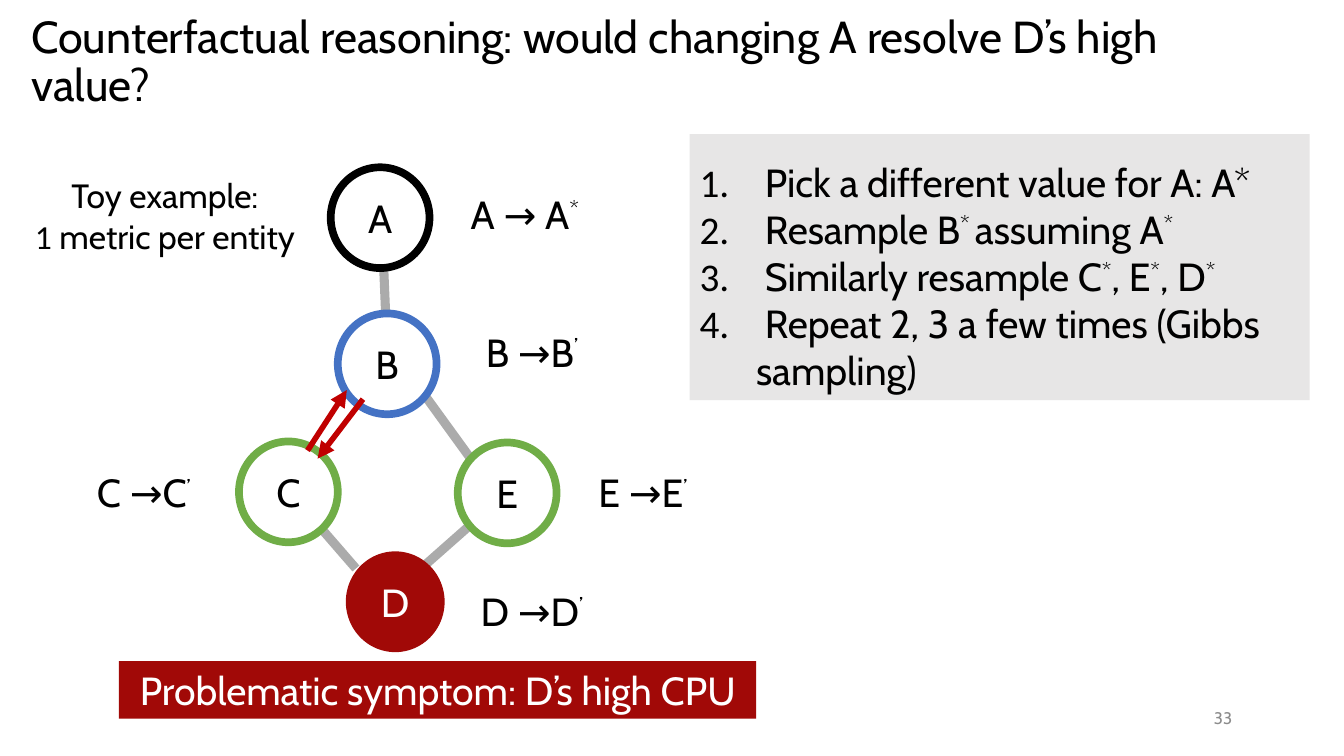
from dataclasses import dataclass

from lxml.etree import SubElement
from pptx import Presentation
from pptx.dml.color import RGBColor
from pptx.enum.shapes import MSO_CONNECTOR, MSO_SHAPE
from pptx.enum.text import MSO_ANCHOR, MSO_AUTO_SIZE, PP_ALIGN
from pptx.oxml.ns import qn
from pptx.util import Inches, Pt

BLACK = RGBColor(0x00, 0x00, 0x00)
WHITE = RGBColor(0xFF, 0xFF, 0xFF)
DARK_RED = RGBColor(0xA1, 0x09, 0x07)
ARROW_RED = RGBColor(0xC0, 0x00, 0x00)
GREEN = RGBColor(0x70, 0xAD, 0x47)
BLUE = RGBColor(0x44, 0x72, 0xC4)
EDGE_GRAY = RGBColor(0x80, 0x80, 0x80)
PANEL_GRAY = RGBColor(0xE7, 0xE6, 0xE6)
NUMBER_GRAY = RGBColor(0x8C, 0x8C, 0x8C)

MAIN_FONT = "Cabin"
LEAD_FONT = "Calibri"


@dataclass(frozen=True)
class Box:
    left: float
    top: float
    width: float
    height: float

    def lengths(self):
        return [Inches(v) for v in (self.left, self.top, self.width, self.height)]


@dataclass(frozen=True)
class Line:
    """Text with ^superscript^ marks, after a lead set in the lead font."""
    text: str
    lead: str = ""


@dataclass(frozen=True)
class Style:
    size: float = 28
    color: RGBColor = BLACK
    align: PP_ALIGN = PP_ALIGN.CENTER
    anchor: MSO_ANCHOR = MSO_ANCHOR.TOP


@dataclass(frozen=True)
class Entity:
    name: str
    left: float
    top: float
    outline: RGBColor | None
    fill: RGBColor = WHITE
    text: RGBColor = BLACK


@dataclass(frozen=True)
class Link:
    start: tuple[float, float]
    end: tuple[float, float]


NODE_WIDTH, NODE_HEIGHT = 0.98, 1.0
ENTITIES = [
    Entity("A", 3.28, 1.66, BLACK),
    Entity("D", 3.43, 5.47, None, DARK_RED, WHITE),
    Entity("E", 4.54, 4.39, GREEN),
    Entity("C", 2.37, 4.38, GREEN),
    Entity("B", 3.35, 3.11, BLUE),
]
EDGES = [
    Link((4.19, 3.89), (4.77, 4.69)),
    Link((4.12, 5.69), (4.72, 5.16)),
    Link((3.83, 3.24), (3.8, 2.52)),
    Link((3.53, 5.64), (3.14, 5.19)),
]
ARROWS = [
    Link((3.05, 4.47), (3.44, 3.87)),
    Link((3.6, 3.96), (3.15, 4.55)),
]
RESAMPLINGS = {
    "A → A^*^": (4.48, 1.84),
    "B →B^’^": (4.55, 3.21),
    "E →E^’^": (5.65, 4.6),
    "C →C^’^": (0.7, 4.6),
    "D →D^’^": (4.55, 5.78),
}
STEPS = [
    "Pick a different value for A: A*",
    "Resample B^* ^assuming A^*^",
    "Similarly resample C^*^, E^*^, D^*^",
    "Repeat 2, 3 a few times (Gibbs sampling)",
]


def add_run(paragraph, text: str, font_name: str, style: Style, raised: bool = False) -> None:
    run = paragraph.add_run()
    run.text = text
    run.font.name = font_name
    run.font.size = Pt(style.size)
    run.font.color.rgb = style.color
    if raised:
        run.font._element.set("baseline", "30000")


def number_paragraph(paragraph) -> None:
    properties = paragraph._p.get_or_add_pPr()
    properties.set("marL", str(Inches(0.56)))
    properties.set("indent", str(-Inches(0.56)))
    SubElement(properties, qn("a:buFont"), typeface="+mj-lt")
    SubElement(properties, qn("a:buAutoNum"), type="arabicPeriod")


def write(shape, lines: list[Line], style: Style, numbered: bool = False) -> None:
    frame = shape.text_frame
    frame.word_wrap = True
    frame.auto_size = MSO_AUTO_SIZE.NONE
    frame.vertical_anchor = style.anchor
    for index, line in enumerate(lines):
        paragraph = frame.add_paragraph() if index else frame.paragraphs[0]
        if numbered:
            number_paragraph(paragraph)
        paragraph.alignment = style.align
        if line.lead:
            add_run(paragraph, line.lead, LEAD_FONT, style)
        for position, piece in enumerate(line.text.split("^")):
            if piece:
                add_run(paragraph, piece, MAIN_FONT, style, position % 2 == 1)


def add_text(slide, box: Box, lines: list[Line], style: Style = Style()) -> None:
    write(slide.shapes.add_textbox(*box.lengths()), lines, style)


def add_filled(slide, kind: MSO_SHAPE, box: Box, fill: RGBColor,
               outline: RGBColor | None = None):
    shape = slide.shapes.add_shape(kind, *box.lengths())
    shape.shadow.inherit = False
    shape.fill.solid()
    shape.fill.fore_color.rgb = fill
    if outline is None:
        shape.line.fill.background()
    else:
        shape.line.color.rgb = outline
        shape.line.width = Pt(5.5)
    return shape


def add_link(slide, link: Link, color: RGBColor, width: float):
    ends = [Inches(v) for v in (*link.start, *link.end)]
    connector = slide.shapes.add_connector(MSO_CONNECTOR.STRAIGHT, *ends)
    connector.line.color.rgb = color
    connector.line.width = Pt(width)
    SubElement(connector._element.spPr, qn("a:effectLst"))
    return connector


def add_entity(slide, entity: Entity) -> None:
    box = Box(entity.left, entity.top, NODE_WIDTH, NODE_HEIGHT)
    node = add_filled(slide, MSO_SHAPE.OVAL, box, entity.fill, entity.outline)
    write(node, [Line(entity.name)], Style(color=entity.text, anchor=MSO_ANCHOR.MIDDLE))


def add_graph(slide) -> None:
    for edge in EDGES:
        connector = add_link(slide, edge, EDGE_GRAY, 6.5)
        color = connector.line._ln.find(f".//{qn('a:srgbClr')}")
        SubElement(color, qn("a:alpha"), val="65000")
    for entity in ENTITIES:
        add_entity(slide, entity)
    for arrow in ARROWS:
        connector = add_link(slide, arrow, ARROW_RED, 4)
        SubElement(connector.line._ln, qn("a:tailEnd"), type="triangle")
    for label, (left, top) in RESAMPLINGS.items():
        add_text(slide, Box(left, top, 1.45, 0.57), [Line(label)])


def main() -> None:
    deck = Presentation()
    deck.slide_width, deck.slide_height = Inches(13.33), Inches(7.5)
    slide = deck.slides.add_slide(deck.slide_layouts[5])

    title = slide.shapes.title
    title.left, title.top, title.width, title.height = Box(0.21, -0.11, 12.33, 1.47).lengths()
    write(title, [Line("Counterfactual reasoning: would changing A resolve D’s high value?")],
          Style(size=32, align=PP_ALIGN.LEFT, anchor=MSO_ANCHOR.MIDDLE))
    title.text_frame.paragraphs[0].line_spacing = 0.9

    steps = add_filled(slide, MSO_SHAPE.RECTANGLE, Box(6.84, 1.33, 6.15, 2.64), PANEL_GRAY)
    write(steps, [Line(step, lead=" ") for step in STEPS],
          Style(align=PP_ALIGN.LEFT), numbered=True)
    steps.text_frame.margin_top = Inches(0.24)

    add_graph(slide)

    symptom = add_filled(slide, MSO_SHAPE.RECTANGLE, Box(1.18, 6.56, 6.32, 0.57), DARK_RED)
    write(symptom, [Line("Problematic symptom: D’s high CPU")], Style(color=WHITE))
    add_text(slide, Box(0.13, 1.69, 3.01, 0.91),
             [Line("Toy example:"), Line(" metric per entity", lead="1")], Style(size=24))
    add_text(slide, Box(9.32, 6.92, 3, 0.4), [Line("33")],
             Style(12, NUMBER_GRAY, PP_ALIGN.RIGHT, MSO_ANCHOR.MIDDLE))
    deck.save("out.pptx")


if __name__ == "__main__":
    main()
